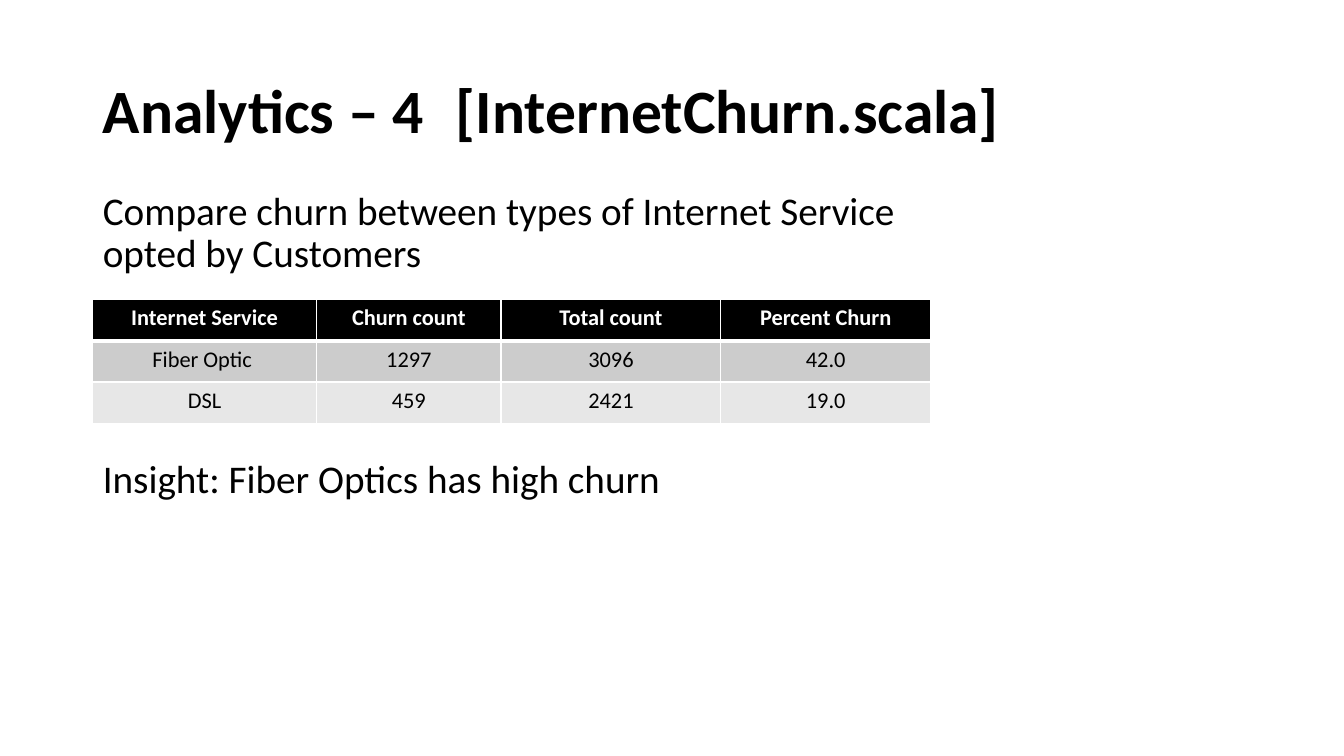
"""Build the slide comparing churn between internet service types."""
from lxml.etree import SubElement
from pptx import Presentation
from pptx.dml.color import RGBColor
from pptx.enum.text import MSO_ANCHOR, MSO_AUTO_SIZE, PP_ALIGN
from pptx.oxml.ns import qn
from pptx.util import Inches, Pt

BLACK = RGBColor(0x00, 0x00, 0x00)
WHITE = RGBColor(0xFF, 0xFF, 0xFF)
MID_GREY = RGBColor(0xCC, 0xCC, 0xCC)
LIGHT_GREY = RGBColor(0xE7, 0xE7, 0xE7)

HEADING = "Analytics – 4\t[InternetChurn.scala]"
QUESTION = "Compare churn between types of Internet Service opted by Customers"
INSIGHT = "Insight: Fiber Optics has high churn"
CHURN = [
    ("Internet Service", "Churn count", "Total count", "Percent Churn"),
    ("Fiber Optic ", "1297", "3096", "42.0"),
    ("DSL", "459", "2421", "19.0"),
]
ROW_FILLS = [BLACK, MID_GREY, LIGHT_GREY]

LEFT = 0.92
COLUMN_WIDTHS = [2.22, 1.83, 2.18, 2.08]
ROW_HEIGHT = 0.41
TABLE_TOP = 2.97
GAP_AROUND_TABLE = 131

HEADING_FONT = {"name": "Calibri", "size": Pt(44), "bold": True}
BODY_FONT = {"name": "Calibri", "size": Pt(28), "bold": False}
HEADER_FONT = {"name": "Calibri", "size": Pt(16), "bold": True}
VALUE_FONT = {**HEADER_FONT, "bold": False}


def apply(target, values):
    for attribute, value in values.items():
        setattr(target, attribute, value)


def write(paragraph, text, font, color, **layout):
    run = paragraph.add_run()
    run.text = text
    apply(run.font, font)
    run.font.color.rgb = color
    apply(paragraph, layout)


def place(placeholder, left, top, width, height, anchor):
    box = {"left": left, "top": top, "width": width, "height": height}
    apply(placeholder, {side: Inches(length) for side, length in box.items()})
    apply(placeholder.text_frame, {
        "word_wrap": True,
        "auto_size": MSO_AUTO_SIZE.NONE,
        "vertical_anchor": anchor,
    })
    return placeholder.text_frame


def remove_bullet(paragraph):
    properties = paragraph._p.get_or_add_pPr()
    properties.set("marL", "0")
    properties.set("indent", "0")
    SubElement(properties, qn("a:buNone"))


def add_borders(cell, top, bottom):
    properties = cell._tc.get_or_add_tcPr()
    for side, points in {"L": 1, "R": 1, "T": top, "B": bottom}.items():
        border = SubElement(properties, qn(f"a:ln{side}"), w=str(Pt(points)))
        fill = SubElement(border, qn("a:solidFill"))
        SubElement(fill, qn("a:srgbClr"), val=str(WHITE))


deck = Presentation()
apply(deck, {"slide_width": Inches(13.33), "slide_height": Inches(7.5)})
slide = deck.slides.add_slide(deck.slide_layouts[1])

heading = place(slide.shapes.title, LEFT, 0.4, 11.5, 1.45, MSO_ANCHOR.MIDDLE)
write(heading.paragraphs[0], HEADING, HEADING_FONT, BLACK,
      alignment=PP_ALIGN.LEFT, line_spacing=0.9)

body = place(slide.placeholders[1], LEFT, 1.85, 8.18, 4.76, MSO_ANCHOR.TOP)
for text, paragraph, gap in [
    (QUESTION, body.paragraphs[0], 10),
    (INSIGHT, body.add_paragraph(), GAP_AROUND_TABLE),
]:
    write(paragraph, text, BODY_FONT, BLACK, alignment=PP_ALIGN.LEFT,
          line_spacing=0.9, space_before=Pt(gap))
    remove_bullet(paragraph)

churn_table = slide.shapes.add_table(
    len(CHURN), len(COLUMN_WIDTHS), Inches(LEFT), Inches(TABLE_TOP),
    Inches(sum(COLUMN_WIDTHS)), Inches(ROW_HEIGHT * len(CHURN))).table
for column, width in zip(churn_table.columns, COLUMN_WIDTHS):
    column.width = Inches(width)
for index, (row, labels, shade) in enumerate(
        zip(churn_table.rows, CHURN, ROW_FILLS)):
    row.height = Inches(ROW_HEIGHT)
    is_header = index == 0
    for cell, label in zip(row.cells, labels):
        write(cell.text_frame.paragraphs[0], label,
              HEADER_FONT if is_header else VALUE_FONT,
              WHITE if is_header else BLACK, alignment=PP_ALIGN.CENTER)
        add_borders(cell, top=3 if index == 1 else 1,
                    bottom=3 if is_header else 1)
        cell.fill.solid()
        cell.fill.fore_color.rgb = shade

deck.save("out.pptx")
